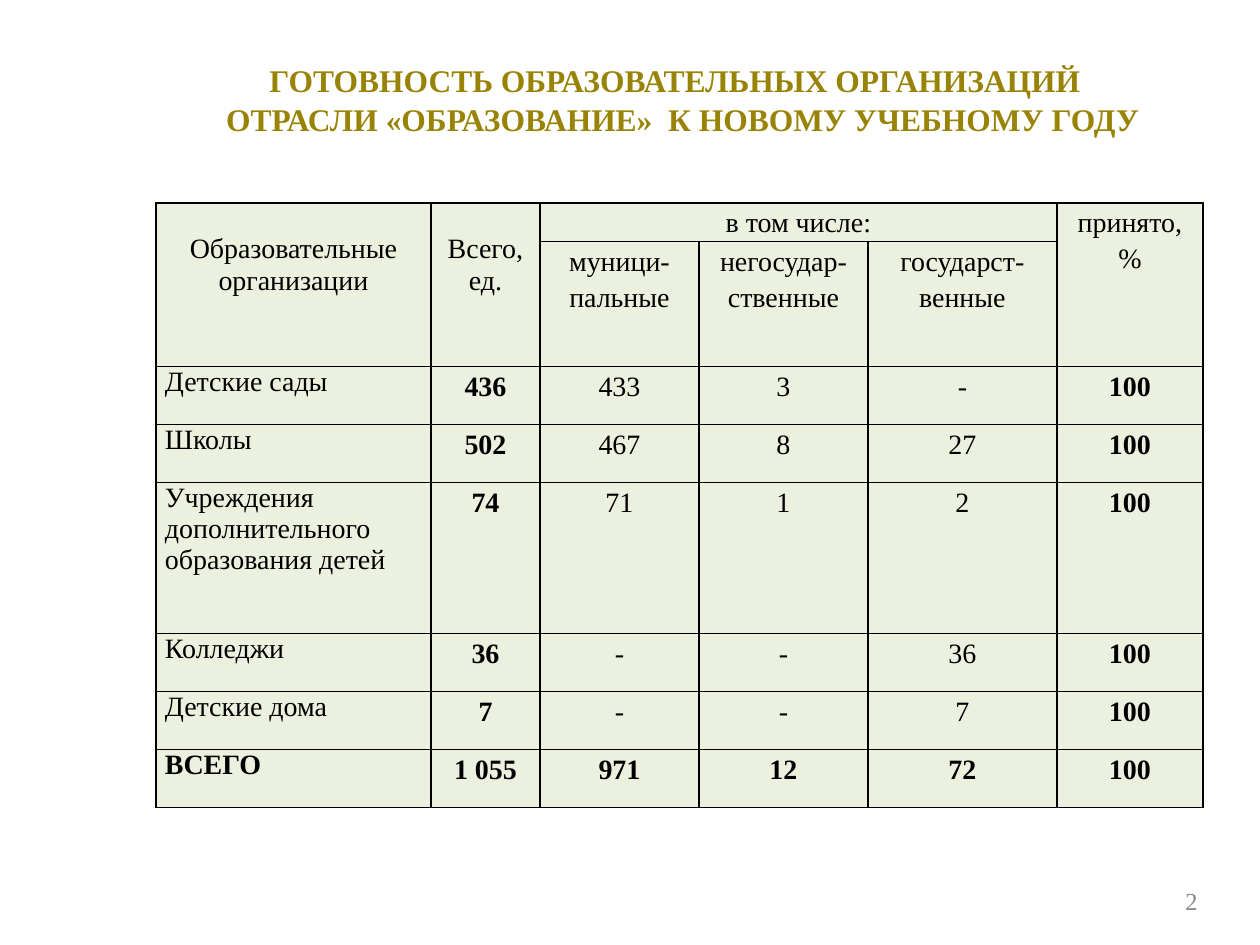
import dataclasses

import lxml.etree
import pptx
import pptx.dml.color
import pptx.enum.text
import pptx.oxml.ns
import pptx.util

ALIGN = pptx.enum.text.PP_ALIGN
SCALE = 914400 / 126


@dataclasses.dataclass
class Theme:
    font: str = "Times New Roman"
    gold: str = "998307"
    gray: str = "898989"
    ink: str = "000000"
    pale: str = "EBF1DE"
    title: int = 18
    body: int = 16
    foot: int = 14


def px(n):
    return pptx.util.Emu(round(n * SCALE))


def rgb(code):
    return pptx.dml.color.RGBColor.from_string(code)


class Deck:
    """Draws styled elements on the current slide."""

    def __init__(self, theme):
        self.theme = theme
        self.deck = pptx.Presentation()
        self.deck.slide_width, self.deck.slide_height = px(1260), px(945)
        self.slide = self.deck.slides.add_slide(self.deck.slide_layouts[6])

    def run(self, para, text, size, color, align, bold=False):
        para.alignment = align
        run = para.add_run()
        run.text = text
        font = run.font
        font.name, font.size, font.bold = self.theme.font, pptx.util.Pt(size), bold
        font.color.rgb = rgb(color)

    def text(self, box, lines, size, color, align, bold=False):
        frame = self.slide.shapes.add_textbox(*map(px, box)).text_frame
        frame.word_wrap = True
        frame.vertical_anchor = pptx.enum.text.MSO_ANCHOR.MIDDLE
        for i, line in enumerate(lines):
            para = frame.add_paragraph() if i else frame.paragraphs[0]
            if i:
                para.space_before = pptx.util.Pt(1)
            self.run(para, line, size, color, align, bold)

    def table(self, left, top, cols, rows):
        shape = self.slide.shapes.add_table(
            len(rows), len(cols), px(left), px(top), px(sum(cols)), px(sum(rows)))
        grid = shape.table
        grid.first_row = grid.horz_banding = False
        for col, wide in zip(grid.columns, cols):
            col.width = px(wide)
        for row, high in zip(grid.rows, rows):
            row.height = px(high)
        for cell in grid.iter_cells():
            self.paint(cell)
        return grid

    def paint(self, cell):
        cell.margin_left = cell.margin_right = px(9)
        cell.margin_top = cell.margin_bottom = 0
        cell.fill.solid()
        cell.fill.fore_color.rgb = rgb(self.theme.pale)
        name = pptx.oxml.ns.qn
        props = cell._tc.get_or_add_tcPr()
        for i, side in enumerate("LRTB"):
            line = lxml.etree.Element(name("a:ln" + side), w="12700")
            fill = lxml.etree.SubElement(line, name("a:solidFill"))
            lxml.etree.SubElement(fill, name("a:srgbClr"), val=self.theme.ink)
            props.insert(i, line)

    def cell(self, cell, text, align=ALIGN.CENTER, bold=False, space=1.15, pad=0):
        cell.margin_top = px(pad)
        para = cell.text_frame.paragraphs[0]
        para.line_spacing = space
        self.run(para, text, self.theme.body, self.theme.ink, align, bold)


HEAD = [
    (0, 0, "Образовательные организации"), (0, 1, "Всего, ед."),
    (0, 2, "в том числе:"), (0, 5, "принято, %"),
    (1, 2, "муници-пальные"), (1, 3, "негосудар-ственные"), (1, 4, "государст-венные"),
]
DATA = [
    ("Детские сады", "436", "433", "3", "-", "100"),
    ("Школы", "502", "467", "8", "27", "100"),
    ("Учреждения дополнительного образования детей", "74", "71", "1", "2", "100"),
    ("Колледжи", "36", "-", "-", "36", "100"),
    ("Детские дома", "7", "-", "-", "7", "100"),
    ("ВСЕГО", "1 055", "971", "12", "72", "100"),
]


def main():
    theme = Theme()
    deck = Deck(theme)
    deck.text((916, 876, 294, 50), ["2"], theme.foot, theme.gray, ALIGN.RIGHT)
    deck.text((195, 63, 968, 73),
              ["ГОТОВНОСТЬ ОБРАЗОВАТЕЛЬНЫХ ОРГАНИЗАЦИЙ ",
               " ОТРАСЛИ «ОБРАЗОВАНИЕ»  К НОВОМУ УЧЕБНОМУ ГОДУ"],
              theme.title, theme.gold, ALIGN.CENTER, True)

    grid = deck.table(156, 203, [275, 109, 159, 169, 189, 146],
                      [35, 125, 58, 58, 151, 58, 58, 58])
    for col in (0, 1, 5):
        grid.cell(0, col).merge(grid.cell(1, col))
    grid.cell(0, 2).merge(grid.cell(0, 4))
    for row, col, text in HEAD:
        low = col < 2
        deck.cell(grid.cell(row, col), text,
                  space=1 if low else 1.15, pad=31 if low else 0)
    for row, items in enumerate(DATA, 2):
        last = items is DATA[-1]
        for col, text in enumerate(items):
            deck.cell(grid.cell(row, col), text,
                      align=ALIGN.CENTER if col else ALIGN.LEFT,
                      bold=last or col in (1, 5), space=1.15 if col else 1)
    deck.deck.save("out.pptx")


if __name__ == "__main__":
    main()
